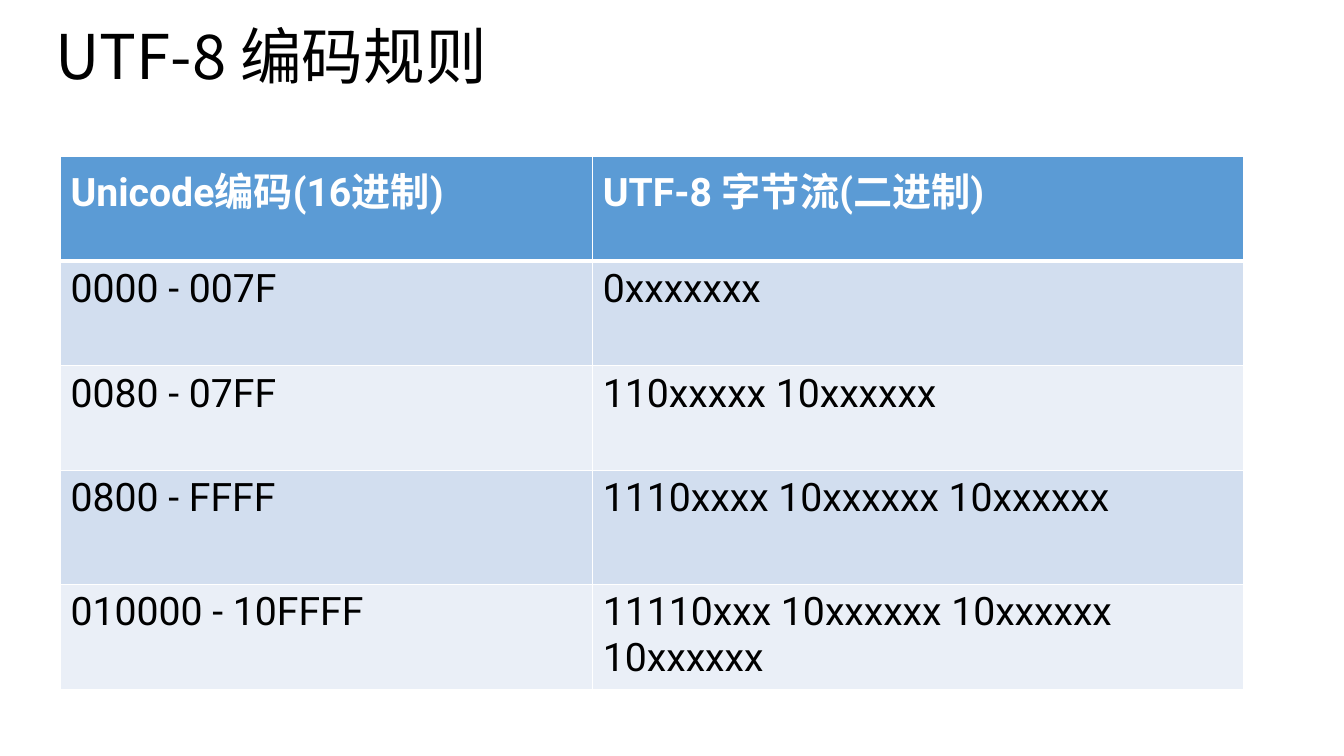
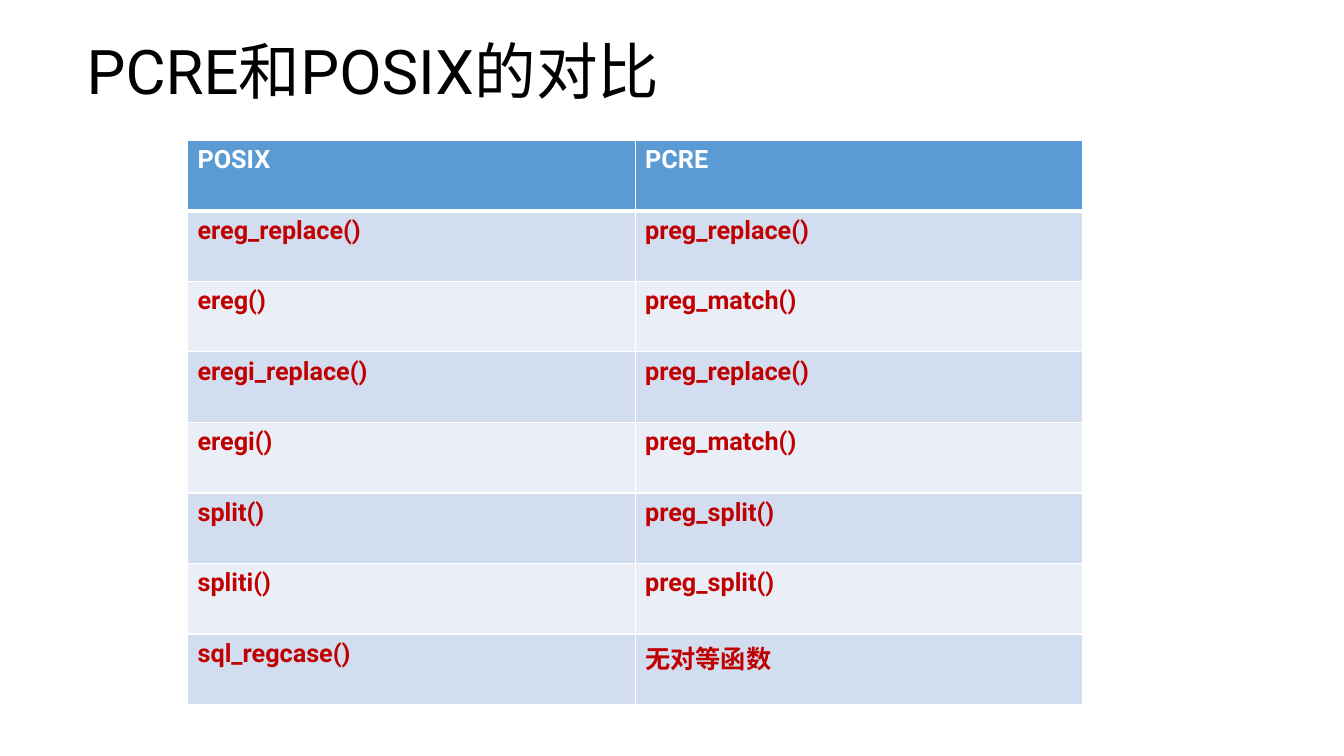
"""Build two slides that each show a title above a banded two-column table."""
from dataclasses import dataclass

from lxml import etree
from pptx import Presentation, util as u
from pptx.dml import color
from pptx.enum import text
from pptx.oxml import ns


@dataclass(frozen=True)
class Theme:
    """Colours, fonts and type sizes shared by the slides."""
    latin: str = "Roboto"
    asian: str = "Noto Sans CJK SC"
    ink: str = "000000"
    white: str = "FFFFFF"
    red: str = "C00000"
    header: str = "5B9BD5"
    bands: tuple[str, str] = ("D2DEEF", "EAEFF7")
    title_size: int = 44
    large_size: int = 28
    small_size: int = 18
    border: int = 1
    header_border: int = 3


THEME = Theme()


@dataclass(frozen=True)
class Box:
    """A left, top, width and height in inches."""
    left: float
    top: float
    width: float
    height: float


@dataclass(frozen=True)
class TableSlide:
    """The content and layout of one slide."""
    title: str
    title_font: str
    title_box: Box
    left: float
    top: float
    columns: tuple[float, ...]
    heights: tuple[float, ...]
    rows: tuple[tuple[str, ...], ...]
    size: int
    body_color: str
    body_bold: bool


SLIDES = (
    TableSlide(
        title="UTF-8 编码规则",
        title_font=THEME.asian,
        title_box=Box(0.45, 0.21, 12.36, 0.77),
        left=0.6,
        top=1.55,
        columns=(5.28, 6.45),
        heights=(1.04, 1.04, 1.04, 1.13, 1.04),
        rows=(
            ("Unicode编码(16进制)", "UTF-8 字节流(二进制)"),
            ("0000 - 007F", "0xxxxxxx"),
            ("0080 - 07FF", "110xxxxx 10xxxxxx"),
            ("0800 - FFFF", "1110xxxx 10xxxxxx 10xxxxxx"),
            ("010000 - 10FFFF", "11110xxx 10xxxxxx 10xxxxxx 10xxxxxx"),
        ),
        size=THEME.large_size,
        body_color=THEME.ink,
        body_bold=False,
    ),
    TableSlide(
        title="PCRE和POSIX的对比",
        title_font=THEME.latin,
        title_box=Box(0.76, 0.36, 10.16, 0.77),
        left=1.86,
        top=1.39,
        columns=(4.44, 4.44),
        heights=(0.7,) * 8,
        rows=(
            ("POSIX", "PCRE"),
            ("ereg_replace()", "preg_replace()"),
            ("ereg()", "preg_match()"),
            ("eregi_replace()", "preg_replace()"),
            ("eregi()", "preg_match()"),
            ("split()", "preg_split()"),
            ("spliti()", "preg_split()"),
            ("sql_regcase()", "无对等函数"),
        ),
        size=THEME.small_size,
        body_color=THEME.red,
        body_bold=True,
    ),
)


def format_runs(paragraph, latin: str, size: int, rgb: str, bold: bool) -> None:
    """Apply fonts, size, colour and weight to every run of a paragraph."""
    for run in paragraph.runs:
        run.font.name = latin
        run.font.size = u.Pt(size)
        run.font.bold = bold
        run.font.color.rgb = color.RGBColor.from_string(rgb)
        asian = etree.Element(ns.qn("a:ea"), typeface=THEME.asian)
        run.font._element.find(ns.qn("a:latin")).addnext(asian)


def add_title(slide, content: TableSlide) -> None:
    """Place and format the title placeholder."""
    title, box = slide.shapes.title, content.title_box
    title.left, title.top = u.Inches(box.left), u.Inches(box.top)
    title.width, title.height = u.Inches(box.width), u.Inches(box.height)
    frame = title.text_frame
    frame.text = content.title
    frame.word_wrap = True
    frame.auto_size = text.MSO_AUTO_SIZE.NONE
    frame.vertical_anchor = text.MSO_ANCHOR.TOP
    paragraph = frame.paragraphs[0]
    paragraph.alignment = text.PP_ALIGN.LEFT
    paragraph.line_spacing = 0.9
    format_runs(paragraph, content.title_font, THEME.title_size, THEME.ink, False)


def add_border(cell, side: str, points: int) -> None:
    """Draw a white line on one side of a cell."""
    properties = cell._tc.get_or_add_tcPr()
    line = etree.SubElement(properties, ns.qn(f"a:ln{side}"), w=str(u.Pt(points)))
    fill = etree.SubElement(line, ns.qn("a:solidFill"))
    etree.SubElement(fill, ns.qn("a:srgbClr"), val=THEME.white)


def format_cell(cell, content: TableSlide, row: int) -> None:
    """Set the borders, fill and text style that suit the row of a cell."""
    is_header = row == 0
    thick_sides = {0: "B", 1: "T"}
    for side in "LRTB":
        is_thick = thick_sides.get(row) == side
        add_border(cell, side, THEME.header_border if is_thick else THEME.border)
    fill = THEME.header if is_header else THEME.bands[(row - 1) % 2]
    cell.fill.solid()
    cell.fill.fore_color.rgb = color.RGBColor.from_string(fill)
    rgb = THEME.white if is_header else content.body_color
    bold = is_header or content.body_bold
    format_runs(cell.text_frame.paragraphs[0], THEME.latin, content.size, rgb, bold)


def add_table(slide, content: TableSlide) -> None:
    """Add the table and fill its cells."""
    table = slide.shapes.add_table(
        len(content.rows), len(content.columns),
        u.Inches(content.left), u.Inches(content.top),
        u.Inches(sum(content.columns)), u.Inches(sum(content.heights)),
    ).table
    for column, width in zip(table.columns, content.columns):
        column.width = u.Inches(width)
    for index, (values, height) in enumerate(zip(content.rows, content.heights)):
        table.rows[index].height = u.Inches(height)
        for cell, value in zip(table.rows[index].cells, values):
            cell.text_frame.text = value
            format_cell(cell, content, index)


def main() -> None:
    """Build and save the presentation."""
    presentation = Presentation()
    presentation.slide_width = u.Inches(13.33)
    presentation.slide_height = u.Inches(7.5)
    layout = presentation.slide_layouts.get_by_name("Title Only")
    for content in SLIDES:
        slide = presentation.slides.add_slide(layout)
        add_title(slide, content)
        add_table(slide, content)
    presentation.save("out.pptx")


if __name__ == "__main__":
    main()
